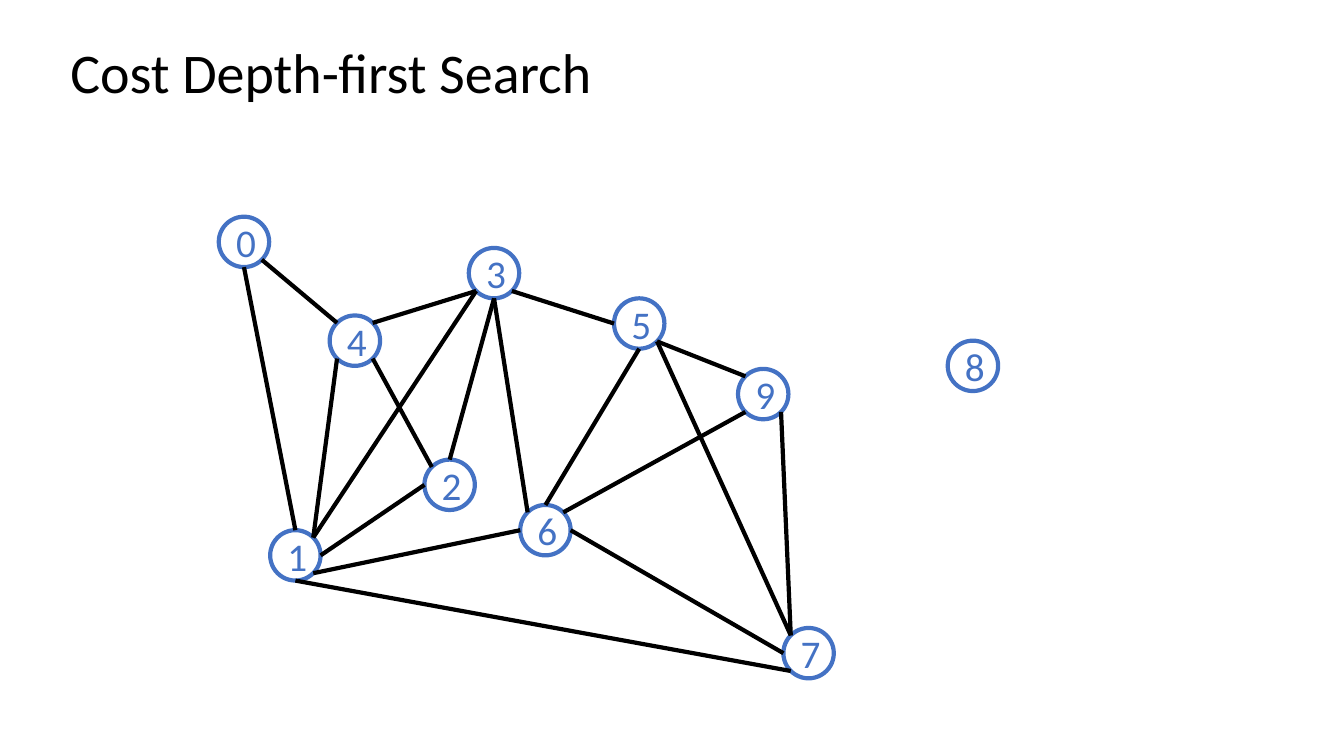
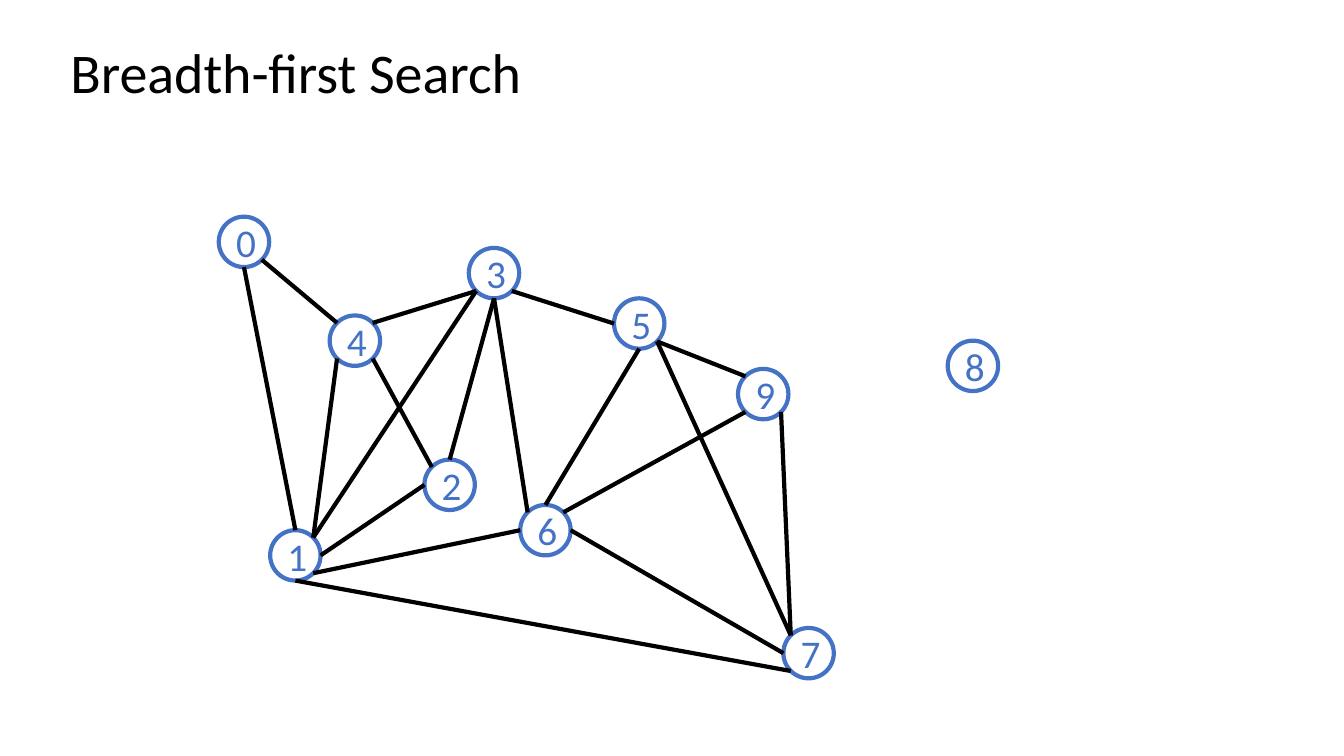
"""Build two graph search slides that show the same ten-node graph."""
import math

import lxml.etree
import pptx
import pptx.dml.color
import pptx.enum.shapes
import pptx.enum.text
import pptx.oxml.ns
import pptx.util

Inches = pptx.util.Inches
Pt = pptx.util.Pt
qn = pptx.oxml.ns.qn

BLACK = pptx.dml.color.RGBColor(0x00, 0x00, 0x00)
WHITE = pptx.dml.color.RGBColor(0xFF, 0xFF, 0xFF)
BLUE = pptx.dml.color.RGBColor(0x44, 0x72, 0xC4)
FONT = "Calibri"
LINE_WIDTH = Pt(3)
DIAMETER = 0.5

TITLES = ["Cost Depth-first Search", "Breadth-first Search"]

NODES = {
    0: (2.17, 2.15), 1: (2.68, 5.26), 2: (4.21, 4.56), 3: (4.65, 2.46),
    4: (3.27, 3.13), 5: (6.09, 2.96), 6: (5.16, 5.01), 7: (7.77, 6.23),
    8: (9.4, 3.38), 9: (7.32, 3.66),
}

TOP, TOP_LEFT, LEFT, BOTTOM_LEFT, BOTTOM, BOTTOM_RIGHT, RIGHT, TOP_RIGHT = range(8)

EDGES = [
    (0, BOTTOM_RIGHT, 4, TOP_LEFT),
    (0, BOTTOM, 1, TOP),
    (1, TOP_RIGHT, 4, BOTTOM_LEFT),
    (2, TOP_LEFT, 4, BOTTOM_RIGHT),
    (1, RIGHT, 2, LEFT),
    (3, BOTTOM, 2, TOP),
    (5, BOTTOM_RIGHT, 9, TOP_LEFT),
    (5, BOTTOM, 6, TOP),
    (6, TOP_RIGHT, 9, BOTTOM_LEFT),
    (7, TOP_LEFT, 9, BOTTOM_RIGHT),
    (6, RIGHT, 7, LEFT),
    (3, BOTTOM_RIGHT, 5, LEFT),
    (3, BOTTOM, 6, TOP_LEFT),
    (5, BOTTOM_RIGHT, 7, TOP_LEFT),
    (3, BOTTOM_LEFT, 4, TOP_RIGHT),
    (6, LEFT, 1, BOTTOM_RIGHT),
    (7, BOTTOM_LEFT, 1, BOTTOM),
    (3, BOTTOM_LEFT, 1, TOP_RIGHT),
]


def site_point(node, site):
    """Return the point on a node's rim; sites run anticlockwise from the top."""
    left, top = NODES[node]
    radius = DIAMETER / 2
    angle = math.radians(90 + 45 * site)
    return (Inches(left + radius + radius * math.cos(angle)),
            Inches(top + radius - radius * math.sin(angle)))


def set_text(sp, text, size, color):
    """Write one paragraph of vertically centred text and return it."""
    tf = sp.text_frame
    tf.text = text
    tf.word_wrap = True
    tf.vertical_anchor = pptx.enum.text.MSO_ANCHOR.MIDDLE
    p = tf.paragraphs[0]
    r = p.runs[0]
    r.font.name = FONT
    r.font.size = Pt(size)
    r.font.color.rgb = color
    return p


prs = pptx.Presentation()
prs.slide_width = Inches(13.33)
prs.slide_height = Inches(7.5)

for title in TITLES:
    s = prs.slides.add_slide(prs.slide_layouts[6])
    box = s.shapes.add_textbox(Inches(0.6), Inches(0.4), Inches(11.5), Inches(0.69))
    p = set_text(box, title, 40, BLACK)
    p.line_spacing = 0.9

    circles = {}
    for node, (left, top) in NODES.items():
        sp = s.shapes.add_shape(
            pptx.enum.shapes.MSO_SHAPE.OVAL,
            Inches(left), Inches(top), Inches(DIAMETER), Inches(DIAMETER))
        sp.shadow.inherit = False
        sp.fill.solid()
        sp.fill.fore_color.rgb = WHITE
        sp.line.color.rgb = BLUE
        sp.line.width = LINE_WIDTH
        p = set_text(sp, str(node), 28, BLUE)
        p.alignment = pptx.enum.text.PP_ALIGN.CENTER
        circles[node] = sp

    for start, start_site, end, end_site in EDGES:
        edge = s.shapes.add_connector(
            pptx.enum.shapes.MSO_CONNECTOR.STRAIGHT,
            *site_point(start, start_site), *site_point(end, end_site))
        edge.line.color.rgb = BLACK
        edge.line.width = LINE_WIDTH
        lxml.etree.SubElement(edge._element.spPr, qn("a:effectLst"))
        joints = edge._element.find(".//" + qn("p:cNvCxnSpPr"))
        for tag, node, site in (("a:stCxn", start, start_site), ("a:endCxn", end, end_site)):
            lxml.etree.SubElement(
                joints, qn(tag), id=str(circles[node].shape_id), idx=str(site))

prs.save("out.pptx")
